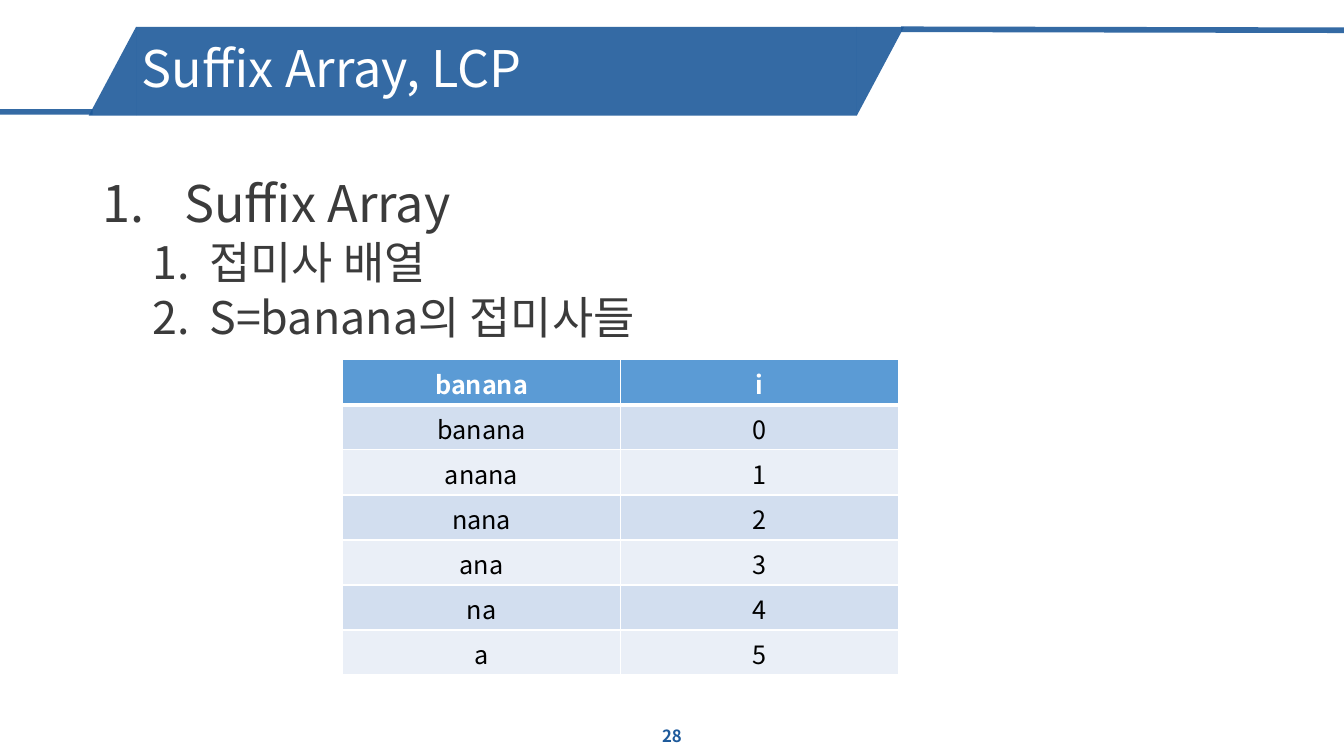
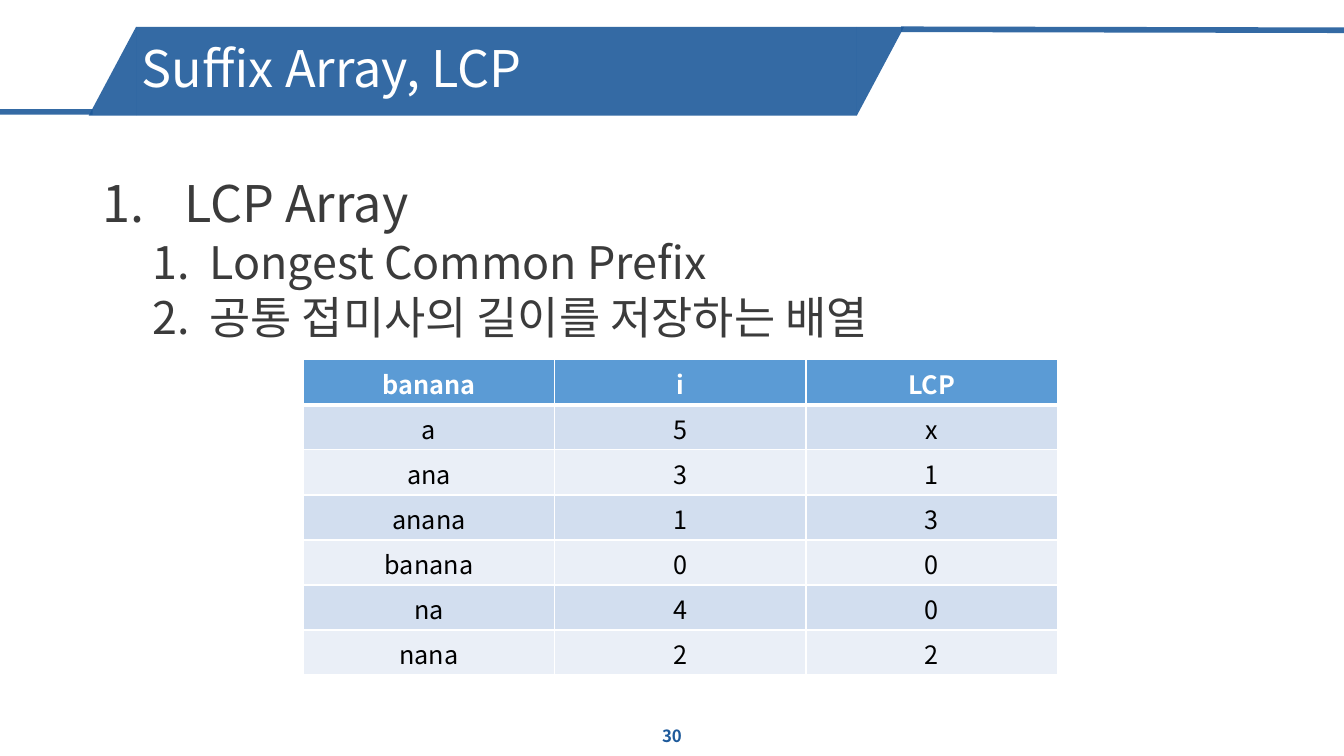
import pptx
import pptx.dml.color
import pptx.enum.shapes
import pptx.enum.text
import pptx.oxml.ns
import pptx.util
from lxml import etree

Pt = pptx.util.Pt
SHAPE = pptx.enum.shapes.MSO_SHAPE
ALIGN = pptx.enum.text.PP_ALIGN
ANCHOR = pptx.enum.text.MSO_ANCHOR

FONT = "Noto Sans CJK KR"
COLORS = {
    "band": "1E5A9B",
    "white": "FFFFFF",
    "body": "3B3B3B",
    "cell": "000000",
    "header": "5B9BD5",
    "odd": "D2DEEF",
    "even": "EAEFF7",
}

# Content: outline items are (level, text)
TITLE = "Suffix Array, LCP"
SLIDES = [
    {
        "number": "28",
        "outline": [(0, "Suffix Array"), (1, "접미사 배열"), (1, "S=banana의 접미사들")],
        "table_left": 244.8,
        "column_width": 198.4,
        "rows": [
            ("banana", "i"),
            ("banana", "0"),
            ("anana", "1"),
            ("nana", "2"),
            ("ana", "3"),
            ("na", "4"),
            ("a", "5"),
        ],
    },
    {
        "number": "30",
        "outline": [
            (0, "LCP Array"),
            (1, "Longest Common Prefix"),
            (1, "공통 접미사의 길이를 저장하는 배열"),
        ],
        "table_left": 216.7,
        "column_width": 179.5,
        "rows": [
            ("banana", "i", "LCP"),
            ("a", "5", "x"),
            ("ana", "3", "1"),
            ("anana", "1", "3"),
            ("banana", "0", "0"),
            ("na", "4", "0"),
            ("nana", "2", "2"),
        ],
    },
]

# Layout, in points
SLIDE_WIDTH, SLIDE_HEIGHT = 960, 540
BAND_LEFT, BAND_TOP, BAND_WIDTH, BAND_HEIGHT = 97.2, 19.2, 514.8, 63.4
SLANT = 33.8
RULES = [(0, 79.9, 66.2, 79.9), (643.7, 20.9, SLIDE_WIDTH, 21.6)]
RULE_WIDTH = 4
BAND_ALPHA = 90
LEVELS = [
    {"size": 36, "margin": 58.3, "hanging": 58.3},
    {"size": 32, "margin": 76.3, "hanging": 40.3},
]
TABLE_TOP, ROW_HEIGHT = 257, 32.2


def rgb(name):
    return pptx.dml.color.RGBColor.from_string(COLORS[name])


def add_element(parent, tag, **attributes):
    return etree.SubElement(parent, pptx.oxml.ns.qn(tag), attributes)


def set_band_color(fill, element):
    fill.solid()
    fill.fore_color.rgb = rgb("band")
    for color in element.iterfind(".//" + pptx.oxml.ns.qn("a:srgbClr")):
        if len(color) == 0:
            add_element(color, "a:alpha", val=str(BAND_ALPHA * 1000))


def style_text(paragraph, size, color, bold=False):
    for span in paragraph.runs:
        span.font.size = Pt(size)
        span.font.bold = bold
        span.font.color.rgb = rgb(color)
        span.font.name = FONT
        add_element(span.font._element, "a:ea", typeface=FONT)


def add_text_box(page, left, top, width, height, anchor):
    box = page.shapes.add_textbox(Pt(left), Pt(top), Pt(width), Pt(height))
    box.text_frame.word_wrap = True
    box.text_frame.vertical_anchor = anchor
    return box.text_frame


def add_band_shape(page, kind, left, top, width, height, rotation=0):
    shape = page.shapes.add_shape(kind, Pt(left), Pt(top), Pt(width), Pt(height))
    shape.rotation = rotation
    shape.shadow.inherit = False
    shape.line.fill.background()
    set_band_color(shape.fill, shape._element.spPr)


def add_frame(page, number):
    # Title band with a slanted end on each side
    slant_top = BAND_TOP + (BAND_HEIGHT - SLANT) / 2
    ends = [(BAND_LEFT - SLANT / 2, 270), (BAND_LEFT + BAND_WIDTH + SLANT / 2, 90)]
    for center, rotation in ends:
        add_band_shape(page, SHAPE.RIGHT_TRIANGLE, center - BAND_HEIGHT / 2,
                       slant_top, BAND_HEIGHT, SLANT, rotation)
    add_band_shape(page, SHAPE.RECTANGLE, BAND_LEFT, BAND_TOP, BAND_WIDTH, BAND_HEIGHT)

    # Rules running out to the slide edges
    for points in RULES:
        rule = page.shapes.add_connector(
            pptx.enum.shapes.MSO_CONNECTOR.STRAIGHT, *map(Pt, points))
        rule.line.width = Pt(RULE_WIDTH)
        set_band_color(rule.line.fill, rule._element.spPr)
        add_element(rule._element.spPr, "a:effectLst")

    # Title and page number
    frame = add_text_box(page, 94.3, 21.6, BAND_WIDTH, 58.3, ANCHOR.MIDDLE)
    frame.text = TITLE
    frame.paragraphs[0].line_spacing = 0.9
    style_text(frame.paragraphs[0], 36, "white")

    frame = add_text_box(page, 372, 511.2, 216, 28.8, ANCHOR.MIDDLE)
    frame.text = number
    frame.paragraphs[0].alignment = ALIGN.CENTER
    style_text(frame.paragraphs[0], 12, "band", bold=True)


def add_outline(page, items):
    frame = add_text_box(page, 66.2, 124.6, 823.7, 357.8, ANCHOR.TOP)
    for index, (level, text) in enumerate(items):
        paragraph = frame.add_paragraph() if index else frame.paragraphs[0]
        paragraph.text = text
        paragraph.level = level
        style = LEVELS[level]
        properties = paragraph._p.get_or_add_pPr()
        properties.set("marL", str(int(Pt(style["margin"]))))
        properties.set("indent", str(-int(Pt(style["hanging"]))))
        add_element(properties, "a:buFont", typeface="+mj-lt")
        add_element(properties, "a:buAutoNum", type="arabicPeriod")
        paragraph.line_spacing = 0.9
        if index:
            paragraph.space_before = Pt(5)
        style_text(paragraph, style["size"], "body")


def set_borders(cell, top, bottom):
    properties = cell._tc.get_or_add_tcPr()
    for side, width in (("L", 1), ("R", 1), ("T", top), ("B", bottom)):
        border = add_element(properties, "a:ln" + side, w=str(int(Pt(width))))
        fill = add_element(border, "a:solidFill")
        add_element(fill, "a:srgbClr", val=COLORS["white"])


def add_suffix_table(page, rows, left, column_width):
    columns = len(rows[0])
    table = page.shapes.add_table(
        len(rows), columns, Pt(left), Pt(TABLE_TOP),
        Pt(column_width * columns), Pt(ROW_HEIGHT * len(rows))).table
    table.horz_banding = False
    for column in table.columns:
        column.width = Pt(column_width)
    for row_index, values in enumerate(rows):
        table.rows[row_index].height = Pt(ROW_HEIGHT)
        is_header = row_index == 0
        fill = "header" if is_header else "odd" if row_index % 2 else "even"
        for column_index, value in enumerate(values):
            cell = table.cell(row_index, column_index)
            set_borders(cell, 3 if row_index == 1 else 1, 3 if is_header else 1)
            cell.fill.solid()
            cell.fill.fore_color.rgb = rgb(fill)
            cell.text_frame.text = value
            paragraph = cell.text_frame.paragraphs[0]
            paragraph.alignment = ALIGN.CENTER
            style_text(paragraph, 18, "white" if is_header else "cell", is_header)


def main():
    deck = pptx.Presentation()
    deck.slide_width, deck.slide_height = Pt(SLIDE_WIDTH), Pt(SLIDE_HEIGHT)
    for content in SLIDES:
        page = deck.slides.add_slide(deck.slide_layouts[6])
        add_frame(page, content["number"])
        add_outline(page, content["outline"])
        add_suffix_table(page, content["rows"], content["table_left"],
                         content["column_width"])
    deck.save("out.pptx")


if __name__ == "__main__":
    main()
